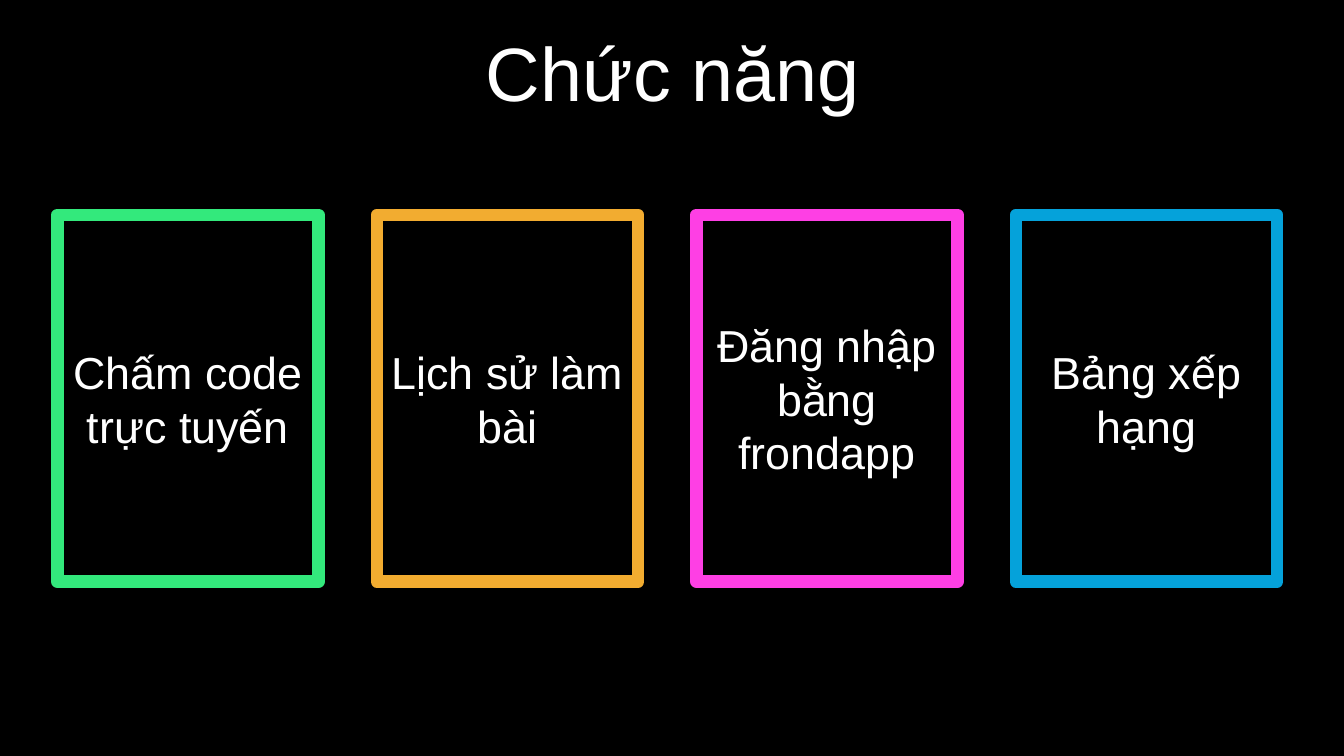
from pptx import Presentation
from pptx.dml.color import RGBColor
from pptx.enum.shapes import MSO_SHAPE
from pptx.enum.text import MSO_ANCHOR, MSO_AUTO_SIZE, PP_ALIGN
from pptx.util import Pt

COLORS = {
    "black": "000000",
    "white": "FFFFFF",
    "green": "33E97C",
    "orange": "F2AC30",
    "pink": "FE3FE4",
    "blue": "05A2DA",
}
CARDS = [
    ("Chấm code trực tuyến", "green"),
    ("Lịch sử làm bài", "orange"),
    ("Đăng nhập bằng frondapp", "pink"),
    ("Bảng xếp hạng", "blue"),
]


def color(name):
    return RGBColor.from_string(COLORS[name])


def write(shape, text, size):
    frame = shape.text_frame
    frame.word_wrap = True
    frame.auto_size = MSO_AUTO_SIZE.NONE
    frame.vertical_anchor = MSO_ANCHOR.MIDDLE
    frame.text = text
    line = frame.paragraphs[0]
    line.alignment = PP_ALIGN.CENTER
    line.font.name = "Arial"
    line.font.size = Pt(size)
    line.font.color.rgb = color("white")
    return line


def add_title(slide, left, top, width, height):
    title = slide.shapes.title
    title.left, title.top = Pt(left), Pt(top)
    title.width, title.height = Pt(width), Pt(height)
    line = write(title, "Chức năng", 54)
    line.line_spacing = 0.9
    line.space_before = Pt(10)


def add_cards(slide, left, top, width, height):
    wide = 186.5
    step = (width - wide) / (len(CARDS) - 1)
    for index, (text, tint) in enumerate(CARDS):
        card = slide.shapes.add_shape(
            MSO_SHAPE.RECTANGLE,
            Pt(left + index * step), Pt(top), Pt(wide), Pt(height),
        )
        card.shadow.inherit = False
        card.fill.solid()
        card.fill.fore_color.rgb = color("black")
        card.line.color.rgb = color(tint)
        card.line.width = Pt(9)
        write(card, text, 32)


def main():
    deck = Presentation()
    deck.slide_width, deck.slide_height = Pt(960), Pt(540)
    slide = deck.slides.add_slide(deck.slide_layouts[5])
    slide.background.fill.solid()
    slide.background.fill.fore_color.rgb = color("black")
    add_title(slide, 25, 26.6, 911.5, 57)
    add_cards(slide, 41, 153.5, 871.2, 262)
    deck.save("out.pptx")


if __name__ == "__main__":
    main()
